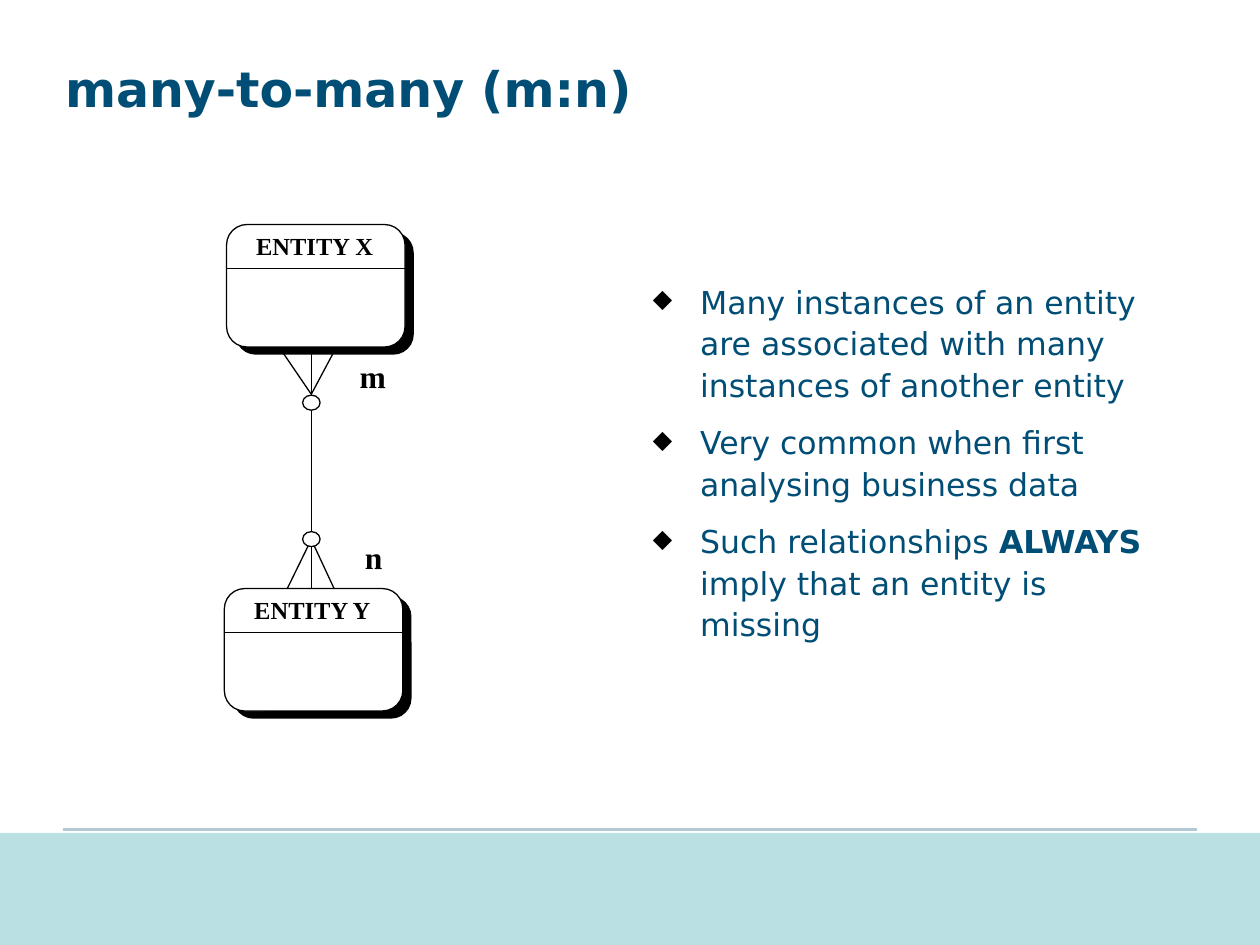
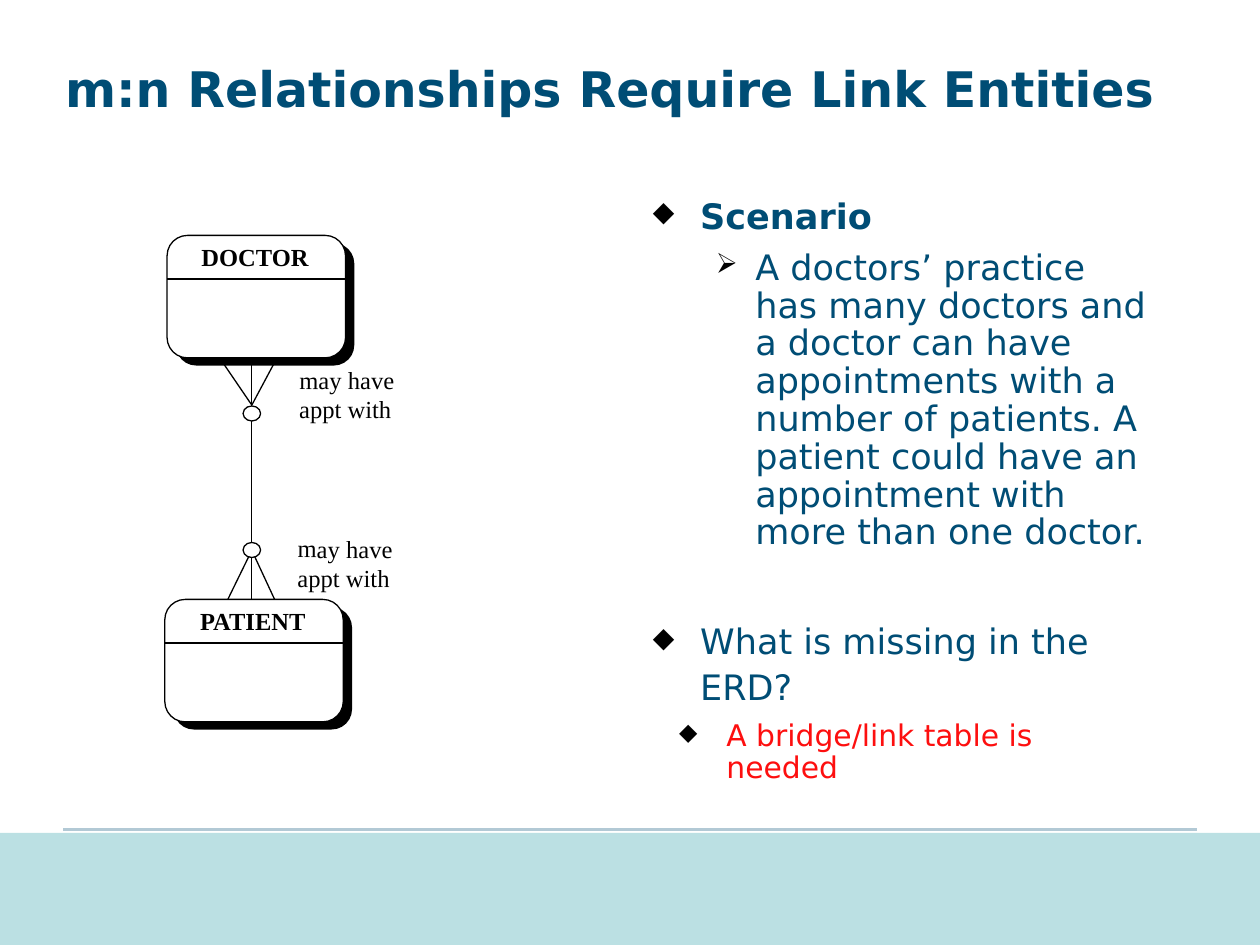
from lxml import etree
from pptx import Presentation
from pptx.dml.color import RGBColor
from pptx.enum.shapes import MSO_CONNECTOR, MSO_SHAPE
from pptx.enum.text import MSO_ANCHOR, MSO_AUTO_SIZE, PP_ALIGN
from pptx.oxml.ns import qn
from pptx.util import Pt

LINE = MSO_CONNECTOR.STRAIGHT
RECT, OVAL = MSO_SHAPE.RECTANGLE, MSO_SHAPE.OVAL
CARD = MSO_SHAPE.FLOWCHART_ALTERNATE_PROCESS
TOP, FIT = MSO_ANCHOR.TOP, MSO_AUTO_SIZE.NONE
LEFT, MID = PP_ALIGN.LEFT, PP_ALIGN.CENTER

SANS, SERIF = "DejaVu Sans", "Times New Roman"
NAVY, BLACK, WHITE, RED = "004D75", "000000", "FFFFFF", "FD0F0F"
RULE, BAND = "B2C9D5", "BBE0E3"
WIDE, HIGH = 720, 540
CARD_W, CARD_H, HEAD_H = 102, 70, 25
AXIS, DROP = 48.4, 208
DOT_W, DOT_H = 10, 8.6
UPPER_DOT, LOWER_DOT = 97.5, 175.5

# kind: bullet sign, left edge, hang, line pitch, share before, share after
POINT = ("◆", 27, 27, 1.1, 0.3, 0.2)
SUB = ("➢", 58.5, 22.5, 0.9, 0.2, 0.1)
REPLY = ("◆", 42, 27, 0.9, 0.2, 0.1)


def tint(code):
    """Turn a hex string into a colour."""
    return RGBColor.from_string(code)


def add_run(para, text, size, font, color=BLACK, bold=False):
    """Add one formatted run."""
    run = para.add_run()
    run.text = text
    run.font.size, run.font.name, run.font.bold = Pt(size), font, bold
    run.font.color.rgb = tint(color)


def set_frame(shape):
    """Make a text frame wrap from its top and return it."""
    frame = shape.text_frame
    frame.word_wrap, frame.auto_size = True, FIT
    frame.vertical_anchor = TOP
    return frame


def add_text(slide, box, text, size, bold=True, align=LEFT, turn=0):
    """Add a short label in the serif font."""
    shape = slide.shapes.add_textbox(*map(Pt, box))
    shape.rotation = turn
    para = set_frame(shape).paragraphs[0]
    para.alignment = align
    add_run(para, text, size, SERIF, bold=bold)


def add_form(slide, kind, box, fill, edge=None):
    """Add a flat preset shape."""
    shape = slide.shapes.add_shape(kind, *map(Pt, box))
    shape.shadow.inherit = False
    shape.fill.solid()
    shape.fill.fore_color.rgb = tint(fill)
    if edge:
        shape.line.color.rgb = tint(edge)
        shape.line.width = Pt(0.75)
    else:
        shape.line.fill.background()


def add_line(slide, ends, color=BLACK, width=0.75):
    """Add a straight line without a shadow."""
    line = slide.shapes.add_connector(LINE, *map(Pt, ends))
    line.line.color.rgb = tint(color)
    line.line.width = Pt(width)
    etree.SubElement(line._element.spPr, qn("a:effectLst"))


def add_card(slide, x, y, name):
    """Draw an entity card with a hard shadow and a heading."""
    add_form(slide, CARD, (x + 5, y + 4.4, CARD_W, CARD_H), BLACK)
    add_form(slide, CARD, (x, y, CARD_W, CARD_H), WHITE, BLACK)
    add_line(slide, (x, y + HEAD_H, x + CARD_W, y + HEAD_H))
    add_text(slide, (x - 4.5, y, 109.5, 26), name, 14, align=MID)


def add_link(slide, x, y, names):
    """Draw two cards joined by a line with crow's feet."""
    mid = x + AXIS
    add_line(slide, (mid, y + CARD_H, mid, y + DROP))
    for toe, edge, knee in ((-18.4, CARD_H, 97), (14.4, CARD_H, 97),
                            (-13.7, DROP, 180), (13, DROP, 180)):
        add_line(slide, (mid + toe, y + edge, mid, y + knee))
    for top in (UPPER_DOT, LOWER_DOT):
        add_form(slide, OVAL, (mid - DOT_W / 2, y + top, DOT_W, DOT_H),
                 WHITE, BLACK)
    add_card(slide, x, y, names[0])
    add_card(slide, x - 1.3, y + DROP, names[1])


def set_mark(para, kind, size, first, gap):
    """Set bullet, indent and spacing of a paragraph."""
    sign, edge, hang, pitch, above, below = kind
    props = para._p.get_or_add_pPr()
    props.set("marL", str(Pt(edge)))
    props.set("indent", str(-Pt(hang)))
    color = etree.SubElement(props, qn("a:buClr"))
    etree.SubElement(color, qn("a:srgbClr"), val=BLACK)
    etree.SubElement(props, qn("a:buSzPct"), val="80000")
    etree.SubElement(props, qn("a:buChar"), char=sign)
    para.line_spacing = pitch
    para.space_before = Pt(0 if first else gap or size * above)
    para.space_after = Pt(size * below)


def add_list(slide, box, items):
    """Add a bulleted list; an item is kind, size, colour, gap, runs."""
    frame = set_frame(slide.shapes.add_textbox(*map(Pt, box)))
    for i, (kind, size, color, gap, runs) in enumerate(items):
        para = frame.add_paragraph() if i else frame.paragraphs[0]
        set_mark(para, kind, size, i == 0, gap)
        for text, bold in runs:
            add_run(para, text, size, SANS, color, bold)


def add_slide(deck, title):
    """Add a slide with its title, rule and bottom band."""
    slide = deck.slides.add_slide(deck.slide_layouts[5])
    head = slide.shapes.title
    head.left, head.top, head.width, head.height = map(Pt, (30, 30, 654, 46))
    para = set_frame(head).paragraphs[0]
    para.alignment = LEFT
    add_run(para, title, 28, SANS, NAVY, True)
    add_line(slide, (36, 474, 684, 474), RULE, 1.25)
    add_form(slide, RECT, (0, 476, WIDE, HIGH - 476), BAND)
    return slide


def add_many(deck):
    """Build the slide that explains many-to-many."""
    slide = add_slide(deck, "many-to-many (m:n)")
    x, y = 129.5, 128.3
    add_link(slide, x, y, ("ENTITY X", "ENTITY Y"))
    add_text(slide, (x + 69, y + 72, 30, 29), "m", 18, turn=0.3)
    add_text(slide, (x + 72, y + 175.5, 28, 29), "n", 18, turn=0.3)
    rows = (
        [("Many instances of an entity are associated with many "
          "instances of another entity", False)],
        [("Very common when first analysing business data", False)],
        [("Such relationships ", False), ("ALWAYS", True),
         (" imply that an entity is missing", False)],
    )
    add_list(slide, (366, 156, 300, 219),
             [(POINT, 18, NAVY, None, row) for row in rows])


def add_need(deck):
    """Build the slide on link entities."""
    slide = add_slide(deck, "m:n Relationships Require Link Entities")
    x, y = 95.5, 134.5
    add_link(slide, x, y, ("DOCTOR", "PATIENT"))
    for left, top in ((68.5, 70.5), (67.5, 167)):
        add_text(slide, (x + left, y + top, 86.5, 41),
                 "may have appt with", 14, False, turn=0.3)
    add_list(slide, (366, 105, 300, 356), [
        (POINT, 20, NAVY, None, [("Scenario", True)]),
        (SUB, 20, NAVY, None, [
            ("A doctors’ practice has many doctors and a doctor can have "
             "appointments with a number of patients. A patient could have "
             "an appointment with more than one doctor.", False)]),
        (POINT, 20, NAVY, 34, [("What is missing in the ERD?", False)]),
        (REPLY, 17, RED, None, [("A bridge/link table is needed", False)]),
    ])


def main():
    """Build and save the deck."""
    deck = Presentation()
    deck.slide_width, deck.slide_height = Pt(WIDE), Pt(HIGH)
    add_many(deck)
    add_need(deck)
    deck.save("out.pptx")


if __name__ == "__main__":
    main()
